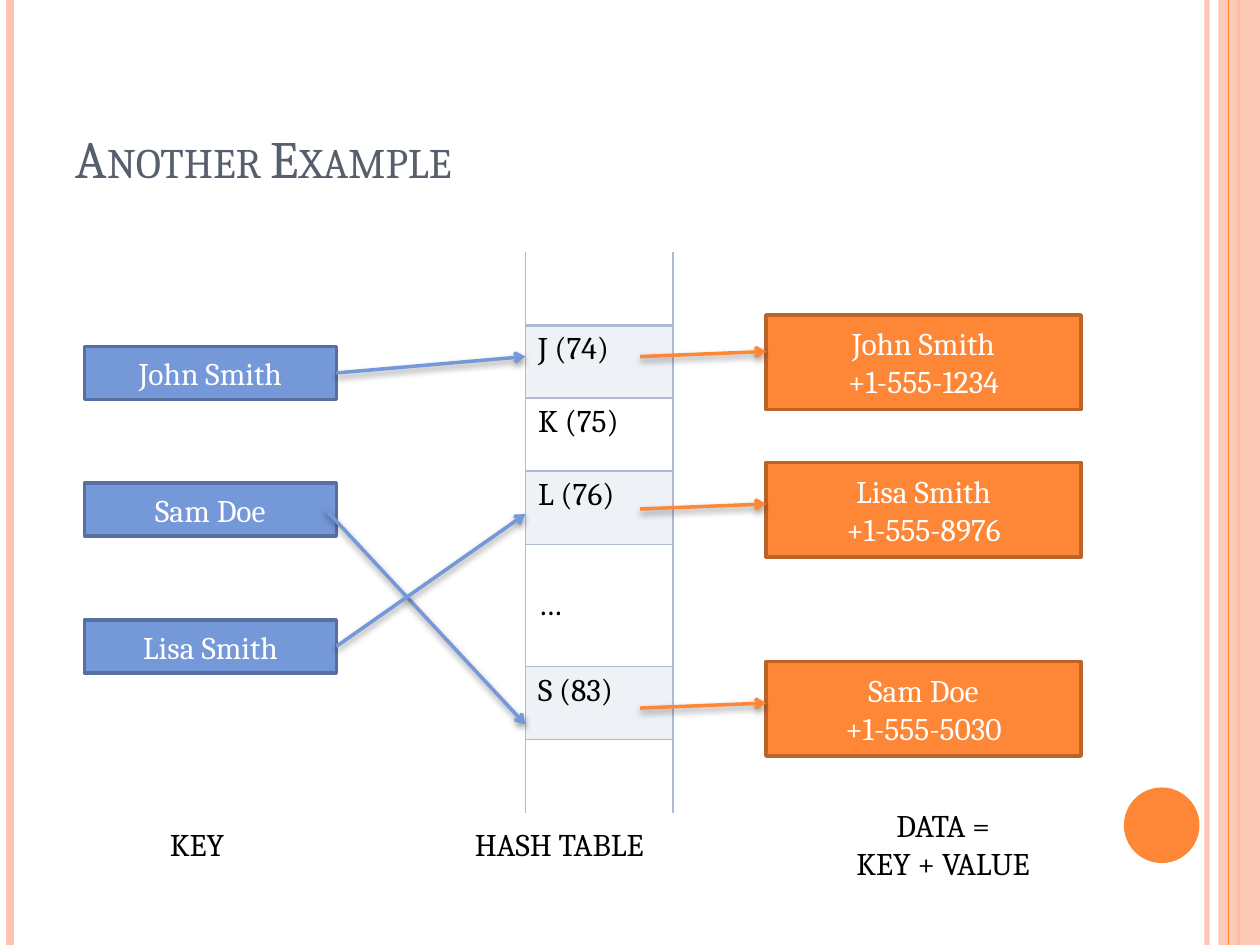
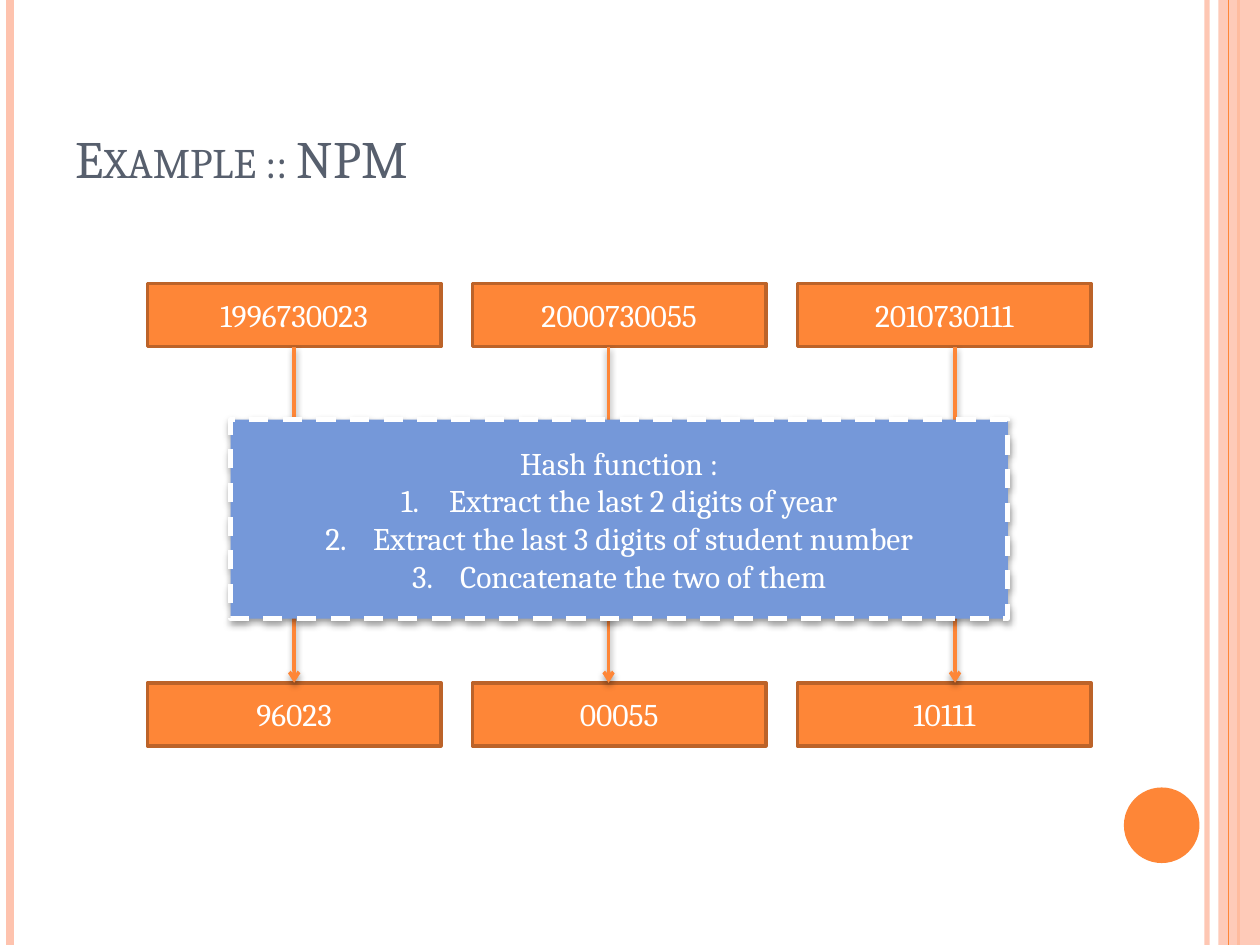
from dataclasses import dataclass

from lxml import etree
from pptx import Presentation
from pptx import util as u
from pptx.dml.color import RGBColor
from pptx.enum import dml, shapes, text
from pptx.oxml.ns import qn

In = u.Inches
LEFT, MID = text.PP_ALIGN.LEFT, text.PP_ALIGN.CENTER
TOP, CORE, LOW = text.MSO_ANCHOR.TOP, text.MSO_ANCHOR.MIDDLE, text.MSO_ANCHOR.BOTTOM


@dataclass(frozen=True)
class Theme:
    font: str = "Cambria"
    head: int = 30
    body: int = 18
    slate: str = "575F6D"
    white: str = "FFFFFF"
    black: str = "000000"
    peach: str = "FEC3AE"
    warm: str = "FE8637"
    rust: str = "BC6329"
    blue: str = "7598D9"
    navy: str = "5770A1"
    grid: str = "AEBAD5"


T = Theme()


def rgb(code):
    return RGBColor.from_string(code)


def sub(root, tag, **attrs):
    return etree.SubElement(root, qn("a:" + tag), {k: str(v) for k, v in attrs.items()})


def fade(root, part):
    sub(next(root.iter(qn("a:srgbClr"))), "alpha", val=part * 1000)


def shade(item, drop):
    props = item._element.spPr
    list_ = props.find(qn("a:effectLst"))
    if list_ is None:
        list_ = sub(props, "effectLst")
    if drop:
        cast = sub(list_, "outerShdw", blurRad=u.Pt(4), dist=u.Pt(2),
                   dir=5400000, rotWithShape=0)
        sub(cast, "srgbClr", val=T.black)
        fade(cast, 40)


def write(frame, lines, ink, size=T.body, align=LEFT, anchor=TOP):
    frame.text = "\n".join(lines)
    frame.word_wrap = True
    frame.vertical_anchor = anchor
    for para in frame.paragraphs:
        para.alignment = align
        for run in para.runs:
            run.font.name = T.font
            run.font.size = u.Pt(size)
            run.font.color.rgb = rgb(ink)


def label(slide, area, line, ink=T.black, **style):
    box = slide.shapes.add_textbox(*map(In, area))
    write(box.text_frame, [line], ink, **style)
    return box


def block(slide, area, fill, edge=None, lines=(), width=2,
          kind=shapes.MSO_SHAPE.RECTANGLE):
    item = slide.shapes.add_shape(kind, *map(In, area))
    item.shadow.inherit = False
    item.fill.solid()
    item.fill.fore_color.rgb = rgb(fill)
    if edge:
        item.line.color.rgb = rgb(edge)
        item.line.width = u.Pt(width)
    else:
        item.line.fill.background()
    if lines:
        write(item.text_frame, lines, T.white, align=MID, anchor=CORE)
    return item


def rule(slide, start, end, ink, width):
    line = slide.shapes.add_connector(
        shapes.MSO_CONNECTOR.STRAIGHT, *map(In, (*start, *end)))
    line.line.color.rgb = rgb(ink)
    line.line.width = u.Pt(width)
    return line


def bar(slide, x, ink, width):
    line = rule(slide, (x, 0), (x, 7.5), ink, width)
    shade(line, False)
    return line


def arrow(slide, start, end, ink, source=None, goal=None):
    line = rule(slide, start, end, ink, 2)
    if source:
        line.begin_connect(*source)
    if goal:
        line.end_connect(*goal)
    sub(line.line._get_or_add_ln(), "tailEnd", type="arrow")
    shade(line, True)


def page(deck, title):
    slide = deck.slides.add_slide(deck.slide_layouts[6])
    fade(bar(slide, 9.58, T.peach, 3)._element.spPr, 93)
    bar(slide, 0.08, T.peach, 4.5)
    bar(slide, 9.83, T.warm, 1.5)
    band = block(slide, (9.67, 0, 0.33, 7.5), T.peach)
    fade(band._element.spPr, 87)
    bar(slide, 9.75, T.warm, 0.75)
    block(slide, (8.92, 6.25, 0.6, 0.6), T.warm, kind=shapes.MSO_SHAPE.OVAL)
    head = label(slide, (0.5, 0.3, 8.17, 1.25), title, T.slate, size=T.head, anchor=LOW)
    head.text_frame.paragraphs[0].runs[0].font._element.set("cap", "small")
    return slide


def border(cell, side, width):
    line = sub(cell._tc.get_or_add_tcPr(), "ln" + side, w=u.Pt(width))
    if width:
        sub(sub(line, "solidFill"), "srgbClr", val=T.grid)
    else:
        sub(line, "noFill")


def slots(slide, names):
    frame = slide.shapes.add_table(len(names), 1, *map(In, (4.17, 2, 1.17, 4.47)))
    grid = frame.table
    grid.first_row = grid.horz_banding = False
    last = len(names) - 1
    for i, name in enumerate(names):
        gap = name == "…"
        grid.rows[i].height = In(0.97 if gap else 0.58)
        cell = grid.cell(i, 0)
        write(cell.text_frame, [name], T.black)
        cell.vertical_anchor = CORE if gap else TOP
        above = {0: 0, 1: 2}.get(i, 1)
        below = {0: 2, last: 0}.get(i, 1)
        for side, width in zip("LRTB", (1, 1, above, below)):
            border(cell, side, width)
        if i % 2 and i < last:
            cell.fill.solid()
            cell.fill.fore_color.rgb = rgb(T.grid)
            fade(cell._tc.tcPr.find(qn("a:solidFill")), 20)
        else:
            cell.fill.background()


def people(deck):
    slide = page(deck, "Another Example")
    keys = [block(slide, (0.67, 2.75 + 1.085 * i, 2, 0.42), T.blue, T.navy, [name])
            for i, name in enumerate(("John Smith", "Sam Doe", "Lisa Smith"))]
    slots(slide, ["", "J (74)", "K (75)", "L (76)", "…", "S (83)", ""])

    john, _, lisa = keys
    arrow(slide, (2.67, 2.96), (4.17, 2.83), T.blue, source=(john, 3))
    arrow(slide, (2.58, 4.04), (4.17, 5.75), T.blue)
    arrow(slide, (2.67, 5.12), (4.17, 4.08), T.blue, source=(lisa, 3))

    for name, phone, top, tip in (("John Smith", "+1-555-1234", 2.5, 2.79),
                                  ("Lisa Smith", "+1-555-8976", 3.67, 4),
                                  ("Sam Doe", "+1-555-5030", 5.25, 5.58)):
        block(slide, (6.08, top, 2.5, 0.75), T.warm, T.rust, [name, phone])
        arrow(slide, (5.08, tip + 0.04), (6.08, tip), T.warm)

    label(slide, (6.5, 6.35, 1.97, 0.71), "DATA =\vKEY + VALUE", align=MID)
    label(slide, (1.25, 6.5, 0.76, 0.4), "KEY")
    label(slide, (3.67, 6.5, 1.92, 0.4), "HASH TABLE")


def number(frame):
    for i, para in enumerate(frame.paragraphs):
        props = para._p.get_or_add_pPr()
        props.set("marL", str(In(0.38)))
        props.set("indent", str(In(-0.38)))
        if i:
            sub(props, "buFont", typeface="+mj-lt")
            sub(props, "buAutoNum", type="arabicPeriod")


def students(deck):
    slide = page(deck, "Example :: NPM")
    pairs = (("1996730023", "96023", 2.33),
             ("2000730055", "00055", 4.83),
             ("2010730111", "10111", 7.58))
    ends = []
    for i, (code, hash_, x) in enumerate(pairs):
        left = 1.17 + 2.58 * i
        ends.append([block(slide, (left, top, 2.33, 0.5), T.warm, T.rust, [name])
                     for name, top in ((code, 2.25), (hash_, 5.42))])
    for i, (_, _, x) in enumerate(pairs):
        source, goal = ends[i]
        joins = {} if i else {"source": (source, 2), "goal": (goal, 0)}
        arrow(slide, (x, 2.75), (x, 5.42), T.warm, **joins)

    steps = block(slide, (1.83, 3.33, 6.17, 1.58), T.blue, T.white,
                  ["Hash function :",
                   "Extract the last 2 digits of year",
                   "Extract the last 3 digits of student number",
                   "Concatenate the two of them"], 2.75)
    steps.line.dash_style = dml.MSO_LINE.DASH
    shade(steps, True)
    number(steps.text_frame)


def main():
    deck = Presentation()
    deck.slide_width, deck.slide_height = In(10), In(7.5)
    people(deck)
    students(deck)
    deck.save("out.pptx")


if __name__ == "__main__":
    main()
